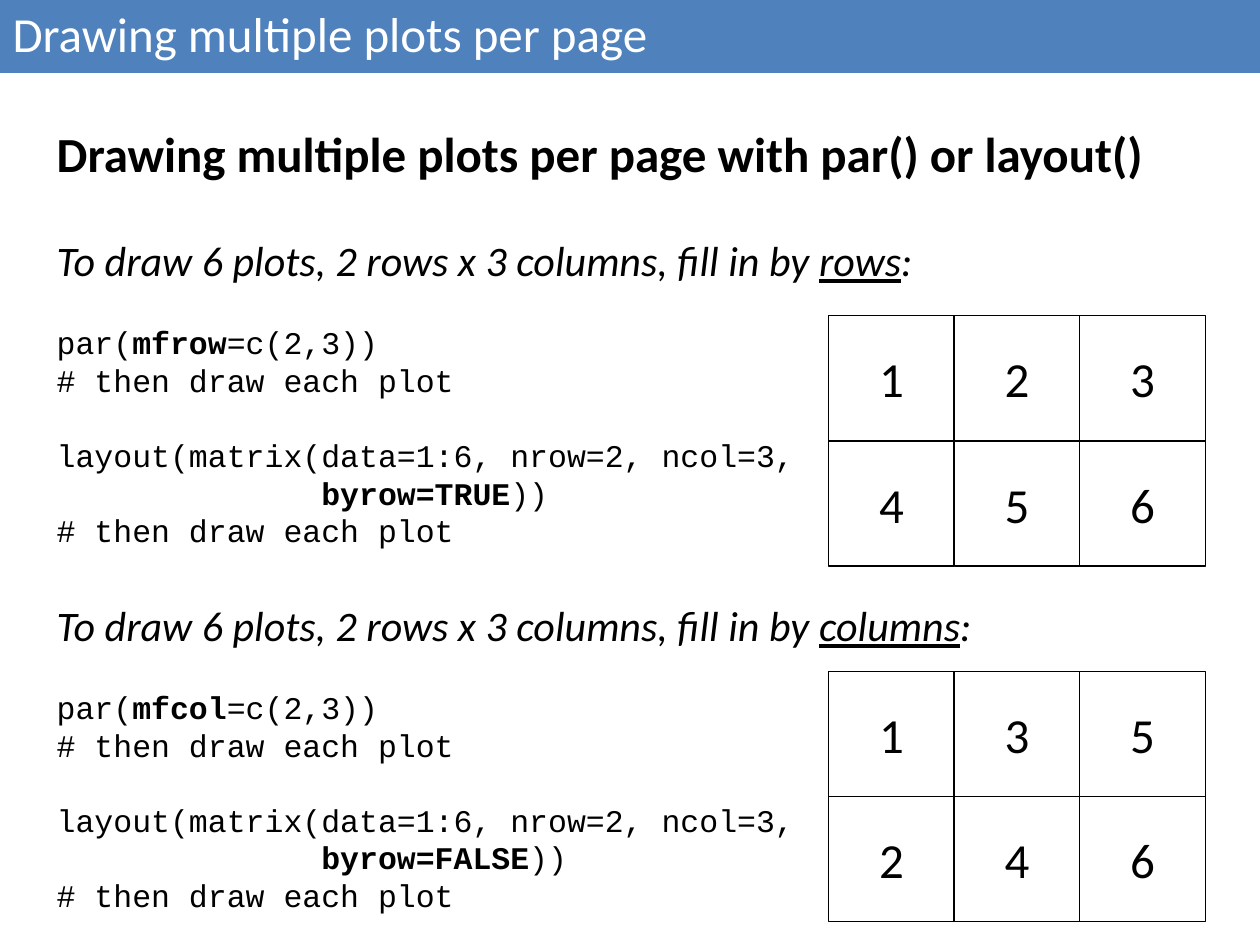
from lxml.etree import SubElement
from pptx import Presentation
from pptx.dml.color import RGBColor
from pptx.enum.shapes import MSO_SHAPE
from pptx.enum.text import MSO_ANCHOR, MSO_AUTO_SIZE, PP_ALIGN
from pptx.oxml.ns import qn
from pptx.util import Pt

BLUE = RGBColor(0x4F, 0x81, 0xBD)
BLACK = RGBColor(0, 0, 0)
WHITE = RGBColor(255, 255, 255)
SANS, MONO = "Calibri", "Courier New"
NO_TABLE_STYLE = "{2D5ABB26-0587-4C30-8999-92F81FD0307C}"

BAR_TITLE = "Drawing multiple plots per page"
HEADING = "Drawing multiple plots per page with par() or layout()"
SECTIONS = [
    {"order": "rows", "par": "mfrow", "byrow": "byrow=TRUE",
     "top": 180.5, "plots": [[1, 2, 3], [4, 5, 6]]},
    {"order": "columns", "par": "mfcol", "byrow": "byrow=FALSE",
     "top": 383.75, "plots": [[1, 3, 5], [2, 4, 6]]},
]
BAR_COLUMNS, BAR_HEIGHT = (588, 132), 41
TEXT_LEFT, TEXT_WIDTH = 25.2, 643.7
HEADING_TOP, BODY_TOP, BODY_BOTTOM = 67, 130.4, 525.6
CODE_LINE, CODE_INDENT = 21.5, 151.2
SECTION_GAP, INTRO_GAP = 28.8, 22
GRID_LEFT, CELL_WIDTH, CELL_HEIGHT = 473.5, 71.75, 71.5


def style(run, size, font=SANS, color=BLACK, bold=False, italic=False, underline=False):
    run.font.size, run.font.name = Pt(size), font
    run.font.color.rgb = color
    run.font.bold, run.font.italic, run.font.underline = bold, italic, underline


def place(shape, left, top, width, height):
    shape.left, shape.top = Pt(left), Pt(top)
    shape.width, shape.height = Pt(width), Pt(height)
    shape.text_frame.auto_size = MSO_AUTO_SIZE.NONE
    shape.text_frame.vertical_anchor = MSO_ANCHOR.TOP


def add_bar(slide):
    frame = slide.shapes.add_table(1, 2, 0, 0, Pt(sum(BAR_COLUMNS)), Pt(BAR_HEIGHT))
    table = frame.table
    table._tbl.tblPr.find(qn("a:tableStyleId")).text = NO_TABLE_STYLE
    for column, width in zip(table.columns, BAR_COLUMNS):
        column.width = Pt(width)
    for cell in table.iter_cells():
        cell.fill.solid()
        cell.fill.fore_color.rgb = BLUE
    table.cell(0, 0).text = BAR_TITLE
    style(table.cell(0, 0).text_frame.paragraphs[0].runs[0], 28, color=WHITE)


def add_heading(slide):
    title = slide.shapes.title
    place(title, TEXT_LEFT, HEADING_TOP, TEXT_WIDTH, BODY_TOP - HEADING_TOP)
    title.text_frame.text = HEADING
    paragraph = title.text_frame.paragraphs[0]
    paragraph.alignment = PP_ALIGN.LEFT
    style(paragraph.runs[0], 28, bold=True)


def section_lines(section):
    """Return (is code, gap before, indent, text before, emphasis, text after) per line."""
    drawing = (True, 0, 0, "# then draw each plot", "", "")
    gap = 0 if section is SECTIONS[0] else SECTION_GAP
    return [
        (False, gap, 0, "To draw 6 plots, 2 rows x 3 columns, fill in by ", section["order"], ":"),
        (True, INTRO_GAP, 0, "par(", section["par"], "=c(2,3))"),
        drawing,
        (True, CODE_LINE, 0, "layout(matrix(data=1:6, nrow=2, ncol=3,", "", ""),
        (True, 0, CODE_INDENT, "", section["byrow"], "))"),
        drawing,
    ]


def add_body(slide):
    body = slide.placeholders[1]
    place(body, TEXT_LEFT, BODY_TOP, TEXT_WIDTH, BODY_BOTTOM - BODY_TOP)
    lines = [line for section in SECTIONS for line in section_lines(section)]
    for number, (is_code, gap, indent, *parts) in enumerate(lines):
        text_frame = body.text_frame
        paragraph = text_frame.add_paragraph() if number else text_frame.paragraphs[0]
        paragraph.space_before = Pt(gap)
        paragraph.line_spacing = Pt(CODE_LINE) if is_code else 1.0
        properties = paragraph._p.get_or_add_pPr()
        properties.set("marL", str(Pt(indent)))
        properties.set("indent", "0")
        SubElement(properties, qn("a:buNone"))
        for position, text in enumerate(parts):
            if not text:
                continue
            run = paragraph.add_run()
            run.text = text
            emphasis = position == 1
            if is_code:
                style(run, 18, MONO, bold=emphasis)
            else:
                style(run, 24, italic=True, underline=emphasis)


def add_plot_grid(slide, section):
    group = slide.shapes.add_group_shape()
    for row, numbers in enumerate(section["plots"]):
        for column, number in enumerate(numbers):
            plot = group.shapes.add_shape(
                MSO_SHAPE.RECTANGLE,
                Pt(GRID_LEFT + column * CELL_WIDTH), Pt(section["top"] + row * CELL_HEIGHT),
                Pt(CELL_WIDTH), Pt(CELL_HEIGHT))
            plot.shadow.inherit = False
            plot.fill.background()
            plot.line.color.rgb = BLACK
            plot.line.width = Pt(0.75)
            plot.text_frame.text = str(number)
            plot.text_frame.word_wrap = False
            plot.text_frame.vertical_anchor = MSO_ANCHOR.MIDDLE
            paragraph = plot.text_frame.paragraphs[0]
            paragraph.alignment = PP_ALIGN.CENTER
            style(paragraph.runs[0], 28)


def main():
    presentation = Presentation()
    presentation.slide_width, presentation.slide_height = Pt(720), Pt(540)
    slide = presentation.slides.add_slide(presentation.slide_layouts[1])
    add_bar(slide)
    add_heading(slide)
    add_body(slide)
    for section in SECTIONS:
        add_plot_grid(slide, section)
    presentation.save("out.pptx")


if __name__ == "__main__":
    main()
